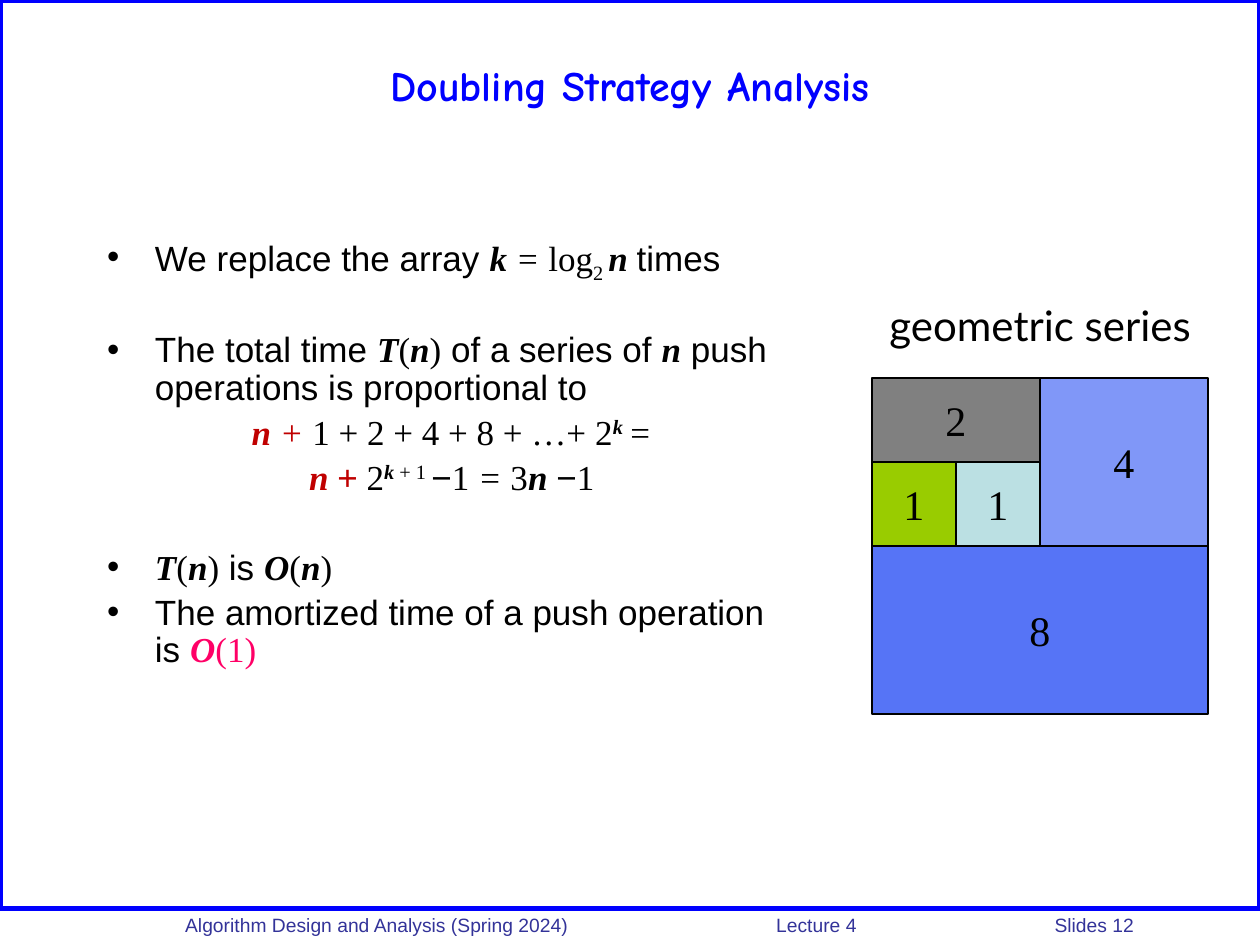
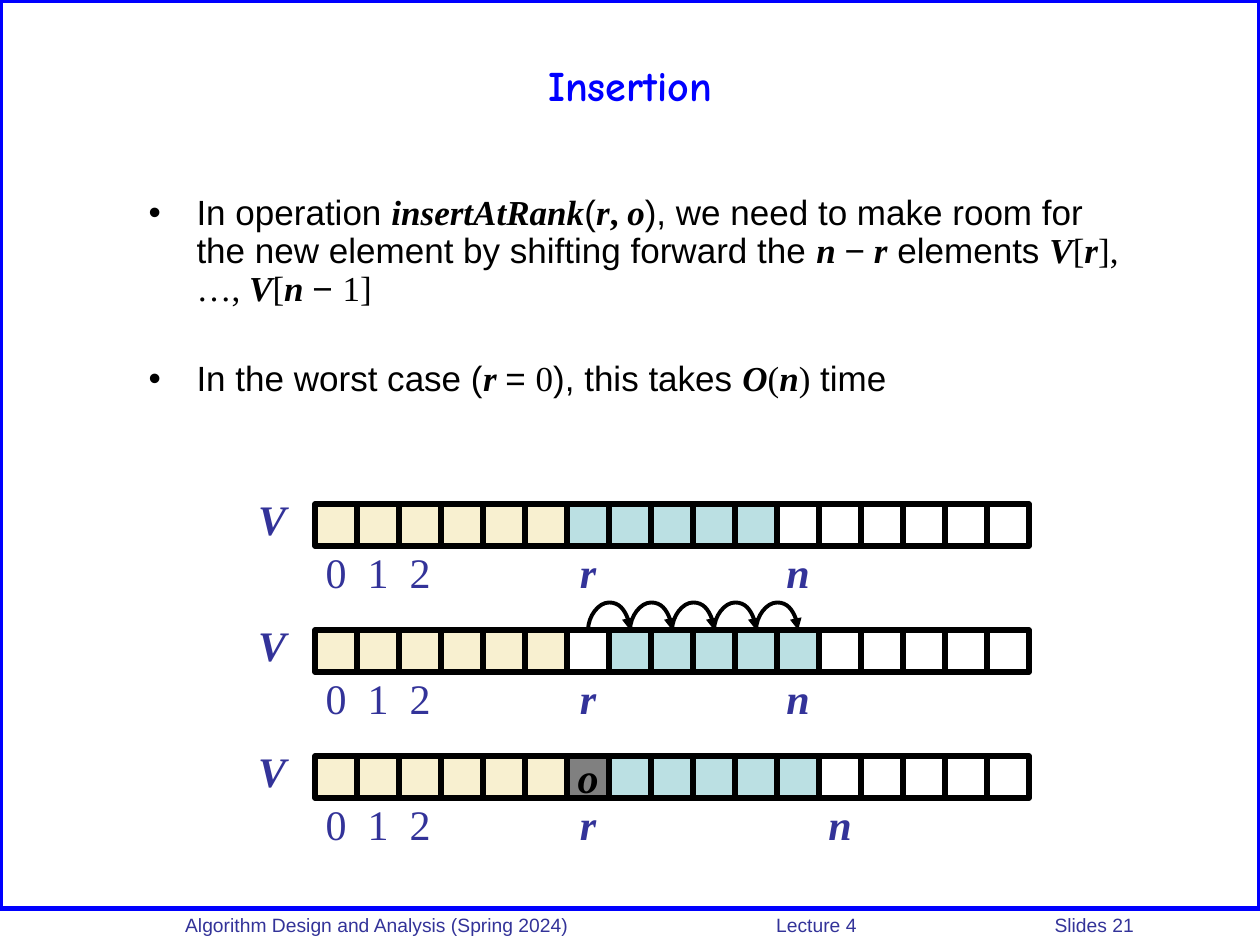
import pptx
import pptx.util
import pptx.dml.color
import pptx.enum.shapes
import pptx.enum.text
import pptx.oxml
import pptx.oxml.ns
from lxml import etree

Inches = pptx.util.Inches
Pt = pptx.util.Pt
ALIGN = pptx.enum.text.PP_ALIGN
ANCHOR = pptx.enum.text.MSO_ANCHOR
RECTANGLE = pptx.enum.shapes.MSO_SHAPE.RECTANGLE

COLORS = {
    "blue": "0000FF", "navy": "333399", "black": "000000", "white": "FFFFFF",
    "red": "C00000", "pink": "FF0066", "gray": "808080", "green": "99CC00",
    "teal": "BBE0E3", "cream": "F8F0D0", "light blue": "8097F8", "mid blue": "5674F6",
}

SANS = {"name": "Arial", "size": Pt(20), "bold": False, "italic": False, "color": "black"}
SERIF = {**SANS, "name": "Times New Roman"}
VARIABLE = {**SERIF, "bold": True, "italic": True}
STYLES = {
    "title": {"name": "Comic Neue", "size": Pt(24), "bold": True, "color": "blue"},
    "footer": {**SANS, "size": Pt(11), "color": "navy"},
    "caption": {"name": "Lato", "size": Pt(24), "color": "black"},
    "sans": SANS,
    "red sans": {**SANS, "color": "red"},
    "serif": SERIF,
    "bold": {**SERIF, "bold": True},
    "italic": {**SERIF, "italic": True},
    "red italic": {**SERIF, "italic": True, "color": "red"},
    "pink": {**SERIF, "color": "pink"},
    "subscript": {**SERIF, "baseline": -25},
    "superscript": {**SERIF, "baseline": 30},
    "variable": VARIABLE,
    "red variable": {**VARIABLE, "color": "red"},
    "pink variable": {**VARIABLE, "color": "pink"},
    "variable superscript": {**VARIABLE, "baseline": 30},
    "number": {**SERIF, "size": Pt(24)},
    "index": {**SERIF, "size": Pt(24), "color": "navy"},
    "index variable": {**VARIABLE, "size": Pt(24), "color": "navy"},
    "cell variable": {**VARIABLE, "size": Pt(24)},
}

FOOTER = ["Algorithm Design and Analysis (Spring 2024)", "Lecture 4"]
FOOTER_TABS = [4.69, 6.9]
LINE_GAP, SECTION_GAP = 4, 30

BIG_O_OF_N = [("O", "variable"), ("(", "serif"), ("n", "variable"), (")", "serif")]

DOUBLING_BODY = [
    ("bullet", 0, [("We replace the array ", "sans"), ("k ", "variable"), ("= ", "italic"),
                   ("log", "serif"), ("2 ", "subscript"), ("n ", "variable"), ("times", "sans")]),
    ("bullet", SECTION_GAP, [("The total time ", "sans"), ("T", "variable"), ("(", "serif"),
                             ("n", "variable"), (")", "serif"), (" of a series of ", "sans"),
                             ("n", "variable"), (" push operations is proportional to", "sans")]),
    ("formula", LINE_GAP, [("n", "red variable"), (" + ", "red italic"),
                           ("1 + 2 + 4 + 8 + …+ 2", "serif"), ("k ", "variable superscript"),
                           ("=", "italic")]),
    ("formula", LINE_GAP, [("n ", "red variable"), ("+", "red sans"), (" 2", "serif"),
                           ("k ", "variable superscript"), ("+ 1 ", "superscript"),
                           ("−", "sans"), ("1 ", "serif"), ("= ", "italic"), ("3", "serif"),
                           ("n ", "variable"), ("−", "sans"), ("1", "serif")]),
    ("bullet", SECTION_GAP, [("T", "variable"), ("(", "serif"), ("n", "variable"),
                             (")", "serif"), (" is ", "sans")] + BIG_O_OF_N),
    ("bullet", LINE_GAP, [("The amortized time of a push operation is ", "sans"),
                          ("O", "pink variable"), ("(1)", "pink")]),
]

INSERTION_BODY = [
    ("bullet", 0, [("In operation ", "sans"), ("insertAtRank", "variable"), ("(", "sans"),
                   ("r", "variable"), (",", "bold"), (" o", "variable"),
                   ("), we need to make room for the new element by shifting forward the ", "sans"),
                   ("n ", "variable"), ("−", "sans"), (" r", "variable"), (" elements ", "sans"),
                   ("V", "variable"), ("[", "serif"), ("r", "variable"), ("], …, ", "serif"),
                   ("V", "variable"), ("[", "serif"), ("n ", "variable"), ("− ", "sans"),
                   ("1]", "serif")]),
    ("bullet", SECTION_GAP, [("In the worst case (", "sans"), ("r ", "variable"), ("= ", "sans"),
                             ("0", "serif"), ("), this takes ", "sans")]
     + BIG_O_OF_N + [(" time", "sans")]),
]

SERIES_ORIGIN, SERIES_UNIT = (6.92, 3), 2 / 3
SERIES_TILES = [
    ("2", 0, 0, 2, 1, "gray"), ("4", 2, 0, 2, 2, "light blue"), ("1", 0, 1, 1, 1, "green"),
    ("1", 1, 1, 1, 1, "teal"), ("8", 0, 2, 4, 2, "mid blue"),
]

ARRAY_LEFT, ARRAY_TOP, CELL = 2.5, 4, 1 / 3
INSERT_RANK = 6
ARRAY_ROWS = [
    {"cells": [("cream", 6), ("teal", 5), ("white", 6)], "n": 11},
    {"cells": [("cream", 6), ("white", 1), ("teal", 5), ("white", 5)], "n": 11},
    {"cells": [("cream", 6), ("gray", 1), ("teal", 5), ("white", 5)], "n": 12, "inserted": "o"},
]
SHIFT_ROW, SHIFT_COUNT, ARC_HEIGHT = 1, 5, 0.23


def rgb(color):
    return pptx.dml.color.RGBColor.from_string(COLORS[color])


def add_run(paragraph, text, style):
    run = paragraph.add_run()
    run.text = text
    for attribute, value in STYLES[style].items():
        if attribute == "color":
            run.font.color.rgb = rgb(value)
        elif attribute == "baseline":
            run._r.get_or_add_rPr().set("baseline", str(value * 1000))
        else:
            setattr(run.font, attribute, value)


def place(shape, left, top, width, height):
    for side, value in zip(("left", "top", "width", "height"), (left, top, width, height)):
        setattr(shape, side, Inches(value))


def set_frame(frame, inset=None, **formats):
    if inset is not None:
        formats.update({f"margin_{side}": inset for side in ("left", "top", "right", "bottom")})
    for attribute, value in formats.items():
        setattr(frame, attribute, value)


def add_label(shapes, box, text, style, alignment=ALIGN.CENTER, inset=0):
    label = shapes.add_textbox(*map(Inches, box))
    set_frame(label.text_frame, inset, word_wrap=False)
    paragraph = label.text_frame.paragraphs[0]
    paragraph.alignment = alignment
    add_run(paragraph, text, style)
    return paragraph


def add_rectangle(shapes, box, fill, line, line_width, text="", style=None):
    rectangle = shapes.add_shape(RECTANGLE, *map(Inches, box))
    rectangle.shadow.inherit = False
    rectangle.line.color.rgb = rgb(line)
    rectangle.line.width = Pt(line_width)
    if fill:
        rectangle.fill.solid()
        rectangle.fill.fore_color.rgb = rgb(fill)
    else:
        rectangle.fill.background()
    if text:
        set_frame(rectangle.text_frame, 0, word_wrap=False, vertical_anchor=ANCHOR.MIDDLE)
        paragraph = rectangle.text_frame.paragraphs[0]
        paragraph.alignment = ALIGN.CENTER
        add_run(paragraph, text, style)


def fill_body(frame, content):
    set_frame(frame, word_wrap=True, auto_size=pptx.enum.text.MSO_AUTO_SIZE.NONE)
    for number, (kind, gap, runs) in enumerate(content):
        paragraph = frame.add_paragraph() if number else frame.paragraphs[0]
        paragraph.line_spacing = 0.9
        paragraph.space_before = Pt(gap)
        paragraph.alignment = ALIGN.LEFT if kind == "bullet" else ALIGN.CENTER
        properties = paragraph._p.get_or_add_pPr()
        properties.set("marL", str(Inches(0.38)))
        properties.set("indent", str(-Inches(0.38)))
        if kind == "bullet":
            bullet = etree.SubElement(properties, pptx.oxml.ns.qn("a:buChar"))
            bullet.set("char", "•")
        else:
            etree.SubElement(properties, pptx.oxml.ns.qn("a:buNone"))
        for text, style in runs:
            add_run(paragraph, text, style)


def add_content_slide(presentation, title, number, body_box, body):
    slide = presentation.slides.add_slide(presentation.slide_layouts[1])
    add_rectangle(slide.shapes, (0, 0, 10, 7.21), None, "blue", 3)
    footer_text = "\t".join(FOOTER + [f"Slides {number}"])
    footer = add_label(slide.shapes, (1.47, 7.25, 8.37, 0.2), footer_text, "footer", ALIGN.LEFT)
    tabs = etree.SubElement(footer._p.get_or_add_pPr(), pptx.oxml.ns.qn("a:tabLst"))
    for position in FOOTER_TABS:
        tab = etree.SubElement(tabs, pptx.oxml.ns.qn("a:tab"))
        tab.set("pos", str(Inches(position)))
        tab.set("algn", "l")

    heading = slide.shapes.title
    place(heading, 0.5, 0.17, 9, 1)
    heading.text_frame.vertical_anchor = ANCHOR.MIDDLE
    heading.text_frame.paragraphs[0].alignment = ALIGN.CENTER
    add_run(heading.text_frame.paragraphs[0], title, "title")

    placeholder = slide.placeholders[1]
    place(placeholder, *body_box)
    fill_body(placeholder.text_frame, body)
    return slide


def draw_series(slide):
    shapes = slide.shapes.add_group_shape().shapes
    left, top = SERIES_ORIGIN
    add_label(shapes, (left, 2.33, 2.67, 0.5), "geometric series", "caption", inset=Inches(0.05))
    for text, column, row, columns, rows, fill in SERIES_TILES:
        box = (left + column * SERIES_UNIT, top + row * SERIES_UNIT,
               columns * SERIES_UNIT, rows * SERIES_UNIT)
        add_rectangle(shapes, box, fill, "black", 0.75, text, "number")


def cell_left(index):
    return ARRAY_LEFT + index * CELL


def draw_array(slide, top, row):
    add_label(slide.shapes, (2, top - 0.08, 0.32, 0.4), "V", "index variable")
    fills = [fill for fill, count in row["cells"] for _ in range(count)]
    for index, fill in enumerate(fills):
        text = row.get("inserted", "") if index == INSERT_RANK else ""
        add_rectangle(slide.shapes, (cell_left(index), top, CELL, CELL), fill, "black", 3,
                      text, "cell variable")
    labels = [(str(index), index, "index") for index in range(3)]
    labels += [("r", INSERT_RANK, "index variable"), ("n", row["n"], "index variable")]
    for text, index, style in labels:
        add_label(slide.shapes, (cell_left(index), top + 0.34, CELL, 0.4), text, style)


def add_arc(slide, center, top):
    thickness = Pt(0.12)
    middle, half = Inches(center), Inches(CELL / 2)
    arc = slide.shapes.add_connector(
        pptx.enum.shapes.MSO_CONNECTOR.CURVE,
        middle, Inches(top) + half, middle + thickness, Inches(top) - half)
    arc.line.color.rgb = rgb("black")
    arc.line.width = Pt(2.25)
    properties = arc._element.spPr
    properties.find(pptx.oxml.ns.qn("a:xfrm")).set("rot", "5400000")
    geometry = properties.find(pptx.oxml.ns.qn("a:prstGeom"))
    guide = etree.SubElement(geometry.find(pptx.oxml.ns.qn("a:avLst")), pptx.oxml.ns.qn("a:gd"))
    guide.set("name", "adj1")
    guide.set("fmla", f"val {-round(Inches(ARC_HEIGHT) / thickness * 100000)}")
    etree.SubElement(arc.line._get_or_add_ln(), pptx.oxml.ns.qn("a:tailEnd")).set("type", "triangle")
    etree.SubElement(properties, pptx.oxml.ns.qn("a:effectLst"))


def main():
    presentation = pptx.Presentation()
    presentation.slide_width, presentation.slide_height = Inches(10), Inches(7.5)

    doubling = add_content_slide(presentation, "Doubling Strategy Analysis", 12,
                                 (0.75, 1.83, 5.67, 4.17), DOUBLING_BODY)
    draw_series(doubling)

    insertion = add_content_slide(presentation, "Insertion", 21,
                                  (1.08, 1.5, 7.92, 1.67), INSERTION_BODY)
    for number, row in enumerate(ARRAY_ROWS):
        draw_array(insertion, ARRAY_TOP + number, row)
    for step in range(SHIFT_COUNT):
        add_arc(insertion, cell_left(INSERT_RANK + step + 1), ARRAY_TOP + SHIFT_ROW)

    presentation.save("out.pptx")


if __name__ == "__main__":
    main()
